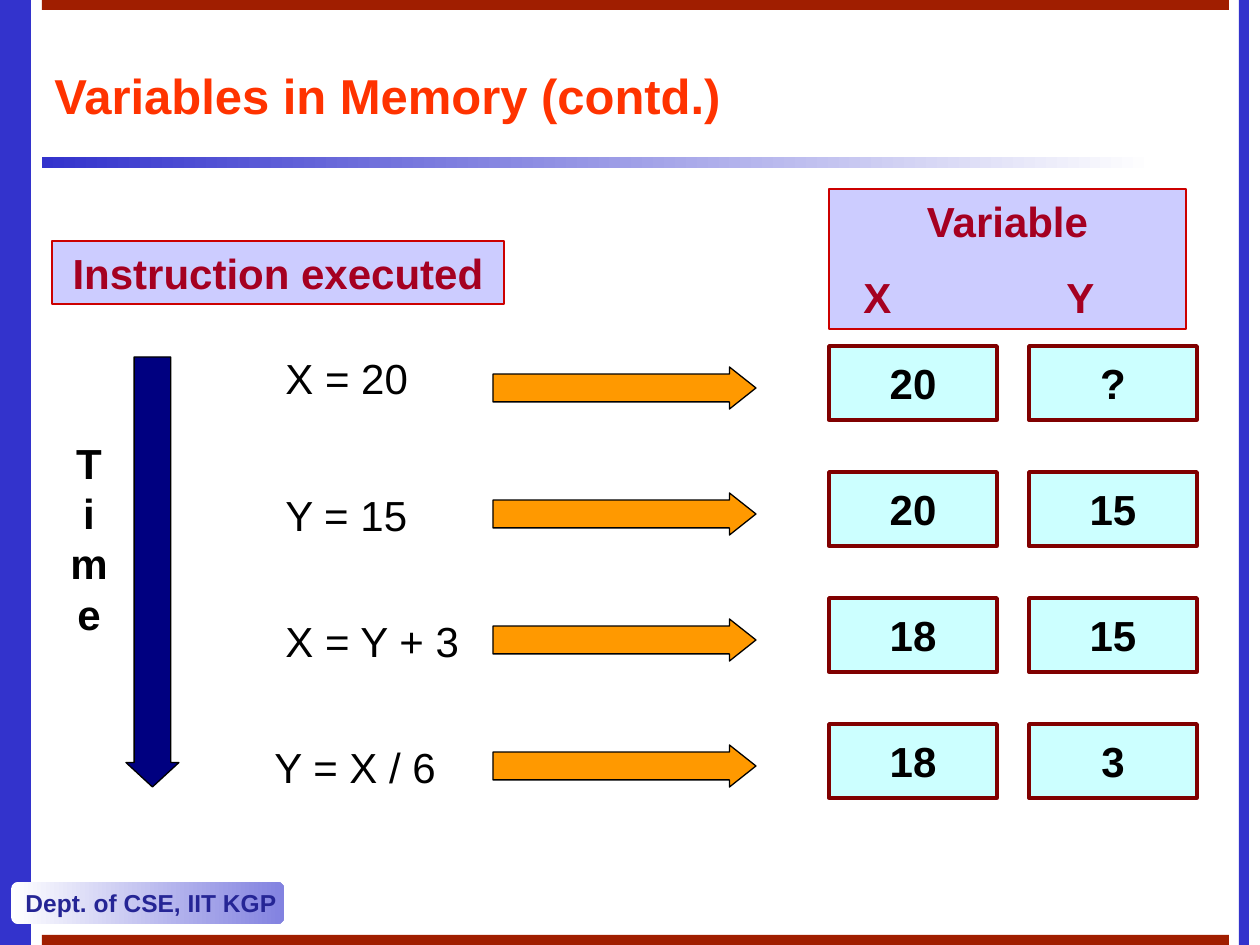
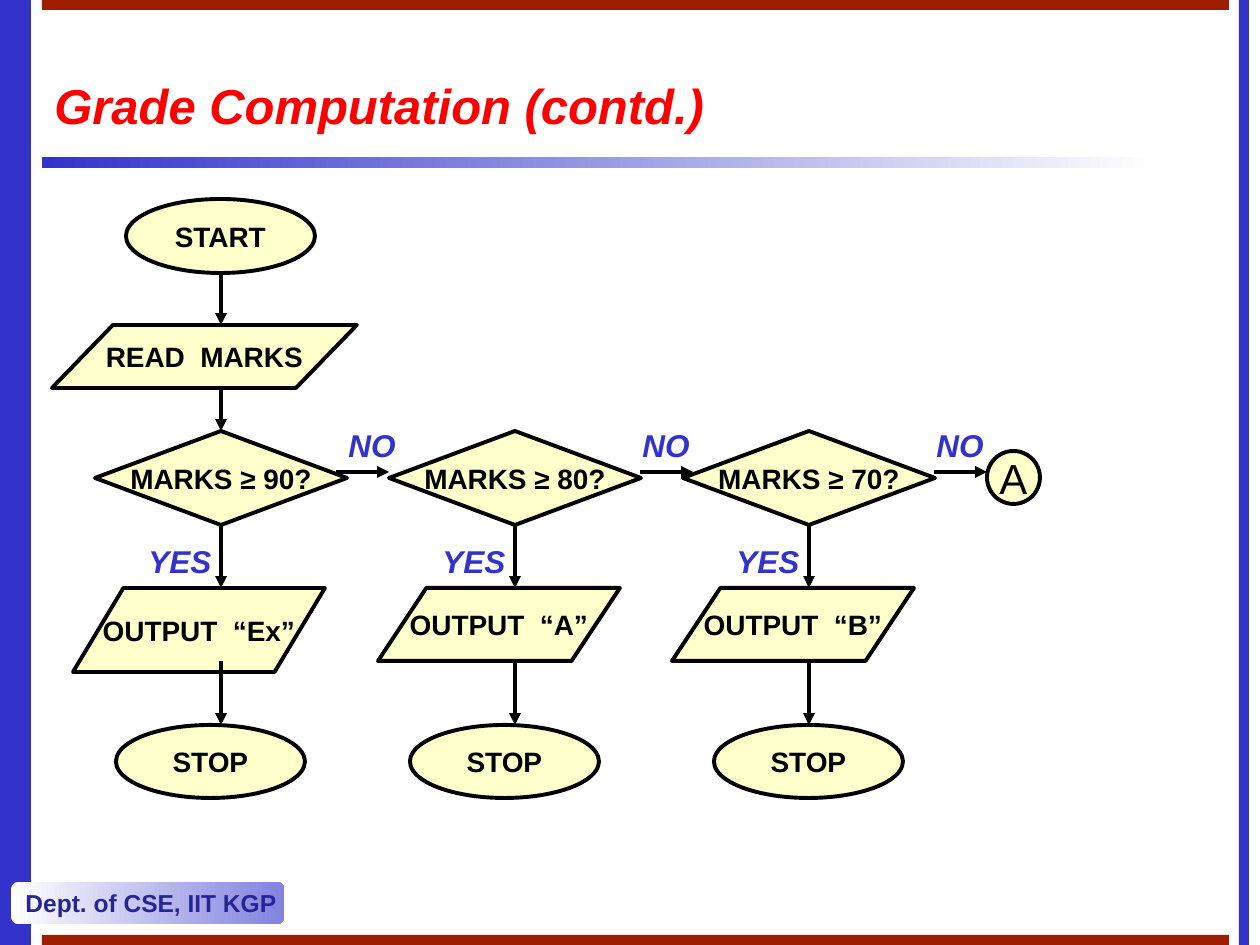
from lxml.etree import SubElement
from pptx import Presentation
from pptx.dml.color import RGBColor
from pptx.enum.shapes import MSO_CONNECTOR, MSO_SHAPE
from pptx.enum.text import MSO_ANCHOR, PP_ALIGN
from pptx.oxml.ns import qn
from pptx.util import Emu, Pt

PX_PER_INCH = 126
FONT = "Arial"
BLUE = RGBColor(0x33, 0x33, 0xCC)
FOOTER_BLUE = RGBColor(0x82, 0x82, 0xE0)
FOOTER_TEXT = RGBColor(0x25, 0x25, 0x95)
BRICK = RGBColor(0xA0, 0x1E, 0x00)
WHITE = RGBColor(0xFF, 0xFF, 0xFF)
BLACK = RGBColor(0x00, 0x00, 0x00)
ORANGE_RED = RGBColor(0xFF, 0x33, 0x00)
RED = RGBColor(0xFF, 0x00, 0x00)
LAVENDER = RGBColor(0xCC, 0xCC, 0xFF)
HEADER_LINE = RGBColor(0xCC, 0x00, 0x00)
CRIMSON = RGBColor(0xA5, 0x00, 0x21)
CYAN = RGBColor(0xCC, 0xFF, 0xFF)
MAROON = RGBColor(0x80, 0x00, 0x00)
ORANGE = RGBColor(0xFF, 0x99, 0x00)
NAVY = RGBColor(0x00, 0x00, 0x80)
CREAM = RGBColor(0xFF, 0xFF, 0xCC)


def px(n):
    """Turn pixels into EMU."""
    return Emu(round(n * 914400 / PX_PER_INCH))


def write(sp, text, size=24, color=BLACK, bold=False, italic=False,
          align=PP_ALIGN.LEFT, anchor=MSO_ANCHOR.TOP, wrap=True, gap=0, tabs=()):
    """Fill a shape with one paragraph per line of text."""
    tf = sp.text_frame
    tf.word_wrap = wrap
    tf.vertical_anchor = anchor
    for i, line in enumerate(text.split("\n")):
        p = tf.add_paragraph() if i else tf.paragraphs[0]
        p.alignment = PP_ALIGN.LEFT if "\t" in line else align
        if i and gap:
            p.space_before = Pt(gap)
        if "\t" in line:
            tab_list = SubElement(p._p.get_or_add_pPr(), qn("a:tabLst"))
            for stop in tabs:
                SubElement(tab_list, qn("a:tab"), pos=str(px(stop)), algn="l")
        r = p.add_run()
        r.text = line
        r.font.name = FONT
        r.font.size = Pt(size)
        r.font.bold = bold
        r.font.italic = italic
        r.font.color.rgb = color


def add_label(s, text, x, y, w, h, **fmt):
    """Add a text box."""
    write(s.shapes.add_textbox(px(x), px(y), px(w), px(h)), text, **fmt)


def add_shape(s, kind, x, y, w, h, fill, line=None, width=0.75, adj=()):
    """Add a preset shape; a pair of colours gives a left-to-right gradient."""
    sp = s.shapes.add_shape(kind, px(x), px(y), px(w), px(h))
    sp.shadow.inherit = False
    if isinstance(fill, RGBColor):
        sp.fill.solid()
        sp.fill.fore_color.rgb = fill
    else:
        sp.fill.gradient()
        sp.fill.gradient_angle = 0
        for stop, color in zip(sp.fill.gradient_stops, fill):
            stop.color.rgb = color
    if line is None:
        sp.line.fill.background()
    else:
        sp.line.color.rgb = line
        sp.line.width = Pt(width)
    for i, value in enumerate(adj):
        sp.adjustments[i] = value
    return sp


def add_header(s, text, x, y, w, h, **fmt):
    """Add a lavender column header."""
    sp = add_shape(s, MSO_SHAPE.RECTANGLE, x, y, w, h, LAVENDER, HEADER_LINE)
    write(sp, text, color=CRIMSON, bold=True, align=PP_ALIGN.CENTER, **fmt)


def add_cell(s, text, x, y):
    """Add a memory cell showing a value."""
    sp = add_shape(s, MSO_SHAPE.RECTANGLE, x, y, 168, 74, CYAN, MAROON, 2)
    write(sp, text, bold=True, align=PP_ALIGN.CENTER,
          anchor=MSO_ANCHOR.MIDDLE, wrap=False)


def add_node(s, kind, text, x, y, w, h, size=16, bold=True):
    """Add a flowchart node."""
    sp = add_shape(s, kind, x, y, w, h, CREAM, BLACK, 2.25)
    write(sp, text, size=size, bold=bold, align=PP_ALIGN.CENTER,
          anchor=MSO_ANCHOR.MIDDLE, wrap=False)


def add_arrow(s, x1, y1, x2, y2):
    """Add a flow line with an arrowhead at its end."""
    c = s.shapes.add_connector(MSO_CONNECTOR.STRAIGHT, px(x1), px(y1), px(x2), px(y2))
    c.line.color.rgb = BLACK
    c.line.width = Pt(2.25)
    SubElement(c.line._get_or_add_ln(), qn("a:tailEnd"), type="triangle")
    SubElement(c._element.spPr, qn("a:effectLst"))


def add_branch(s, text, x, y):
    """Add the answer label of a decision."""
    add_label(s, text, x, y, 147, 50, size=18, color=BLUE, bold=True, italic=True)


def new_slide(prs, title, x, y, w, h, **fmt):
    """Add a blank slide with the shared frame, footer and title."""
    s = prs.slides.add_slide(prs.slide_layouts[6])
    rect = MSO_SHAPE.RECTANGLE
    add_shape(s, rect, 0, 0, 31, 945, BLUE)
    add_shape(s, rect, 1239, 0, 10, 945, BLUE)
    for band_y in (0, 935):
        add_shape(s, rect, 42, band_y, 1187, 10, BRICK)
    add_shape(s, rect, 42, 157, 1113, 11, (BLUE, WHITE))
    footer = add_shape(s, MSO_SHAPE.ROUNDED_RECTANGLE, 11, 882, 273, 42,
                       (WHITE, FOOTER_BLUE), adj=(0.17,))
    write(footer, "Dept. of CSE, IIT KGP", size=14, color=FOOTER_TEXT, bold=True,
          anchor=MSO_ANCHOR.MIDDLE, wrap=False)
    add_label(s, title, x, y, w, h, size=28, bold=True,
              anchor=MSO_ANCHOR.MIDDLE, **fmt)
    return s


def build_memory(prs):
    """Build the slide that traces variable values over time."""
    s = new_slide(prs, "Variables in Memory (contd.)", 42, 42, 1071, 105,
                  color=ORANGE_RED)
    add_header(s, "Variable\n\tX\tY", 829, 189, 357, 140, gap=15, tabs=(22, 225))
    add_header(s, "Instruction executed", 52, 241, 452, 63)
    add_shape(s, MSO_SHAPE.DOWN_ARROW, 126, 357, 53, 430, NAVY, BLACK,
              adj=(0.69, 0.46))
    add_label(s, "T\ni\nm\ne", 42, 431, 94, 291, bold=True, align=PP_ALIGN.CENTER)
    steps = [
        ("X = 20", 273, 346, "20", "?"),
        ("Y = 15", 273, 483, "20", "15"),
        ("X = Y + 3", 273, 609, "18", "15"),
        ("Y = X / 6", 262, 735, "18", "3"),
    ]
    for i, (instruction, x, y, x_value, y_value) in enumerate(steps):
        row = 346 + 126 * i
        add_label(s, instruction, x, y, 220, 63)
        add_shape(s, MSO_SHAPE.RIGHT_ARROW, 493, row + 21, 263, 42, ORANGE, BLACK,
                  adj=(0.66, 0.63))
        add_cell(s, x_value, 829, row)
        add_cell(s, y_value, 1029, row)


def build_grades(prs):
    """Build the grade flowchart slide."""
    s = new_slide(prs, "Grade Computation (contd.)", 42, 63, 1187, 84,
                  color=RED, italic=True)
    data = MSO_SHAPE.FLOWCHART_DATA
    add_node(s, MSO_SHAPE.OVAL, "START", 126, 199, 189, 74)
    add_node(s, data, "READ  MARKS", 52, 325, 305, 63)
    add_node(s, MSO_SHAPE.FLOWCHART_CONNECTOR, "A", 987, 451, 53, 53,
             size=24, bold=False)
    grades = [
        ("90", "Ex", (73, 588, 252, 84), 116, 336),
        ("80", "A", (378, 588, 242, 73), 410, 640),
        ("70", "B", (672, 588, 242, 73), 714, 934),
    ]
    pitch = 294
    for i, (limit, grade, output_box, stop_x, _) in enumerate(grades):
        add_node(s, MSO_SHAPE.FLOWCHART_DECISION, f"MARKS ≥ {limit}?",
                 95 + pitch * i, 431, 252, 94)
        add_node(s, data, f"OUTPUT  “{grade}”", *output_box)
        add_node(s, MSO_SHAPE.OVAL, "STOP", stop_x, 725, 189, 73)
    for y1, y2 in ((273, 325), (388, 431)):
        add_arrow(s, 221, y1, 221, y2)
    for i, (*_, no_x) in enumerate(grades):
        shift = pitch * i
        add_arrow(s, 221 + shift, 525, 221 + shift, 588)
        add_arrow(s, 221 + shift, 661, 221 + shift, 725)
        add_arrow(s, no_x, 472, no_x + 53, 472)
        add_branch(s, "YES", 136 + shift, 536)
        add_branch(s, "NO", 336 + shift, 420)


def main():
    """Build and save the presentation."""
    prs = Presentation()
    prs.slide_width, prs.slide_height = px(1260), px(945)
    build_memory(prs)
    build_grades(prs)
    prs.save("out.pptx")


if __name__ == "__main__":
    main()
